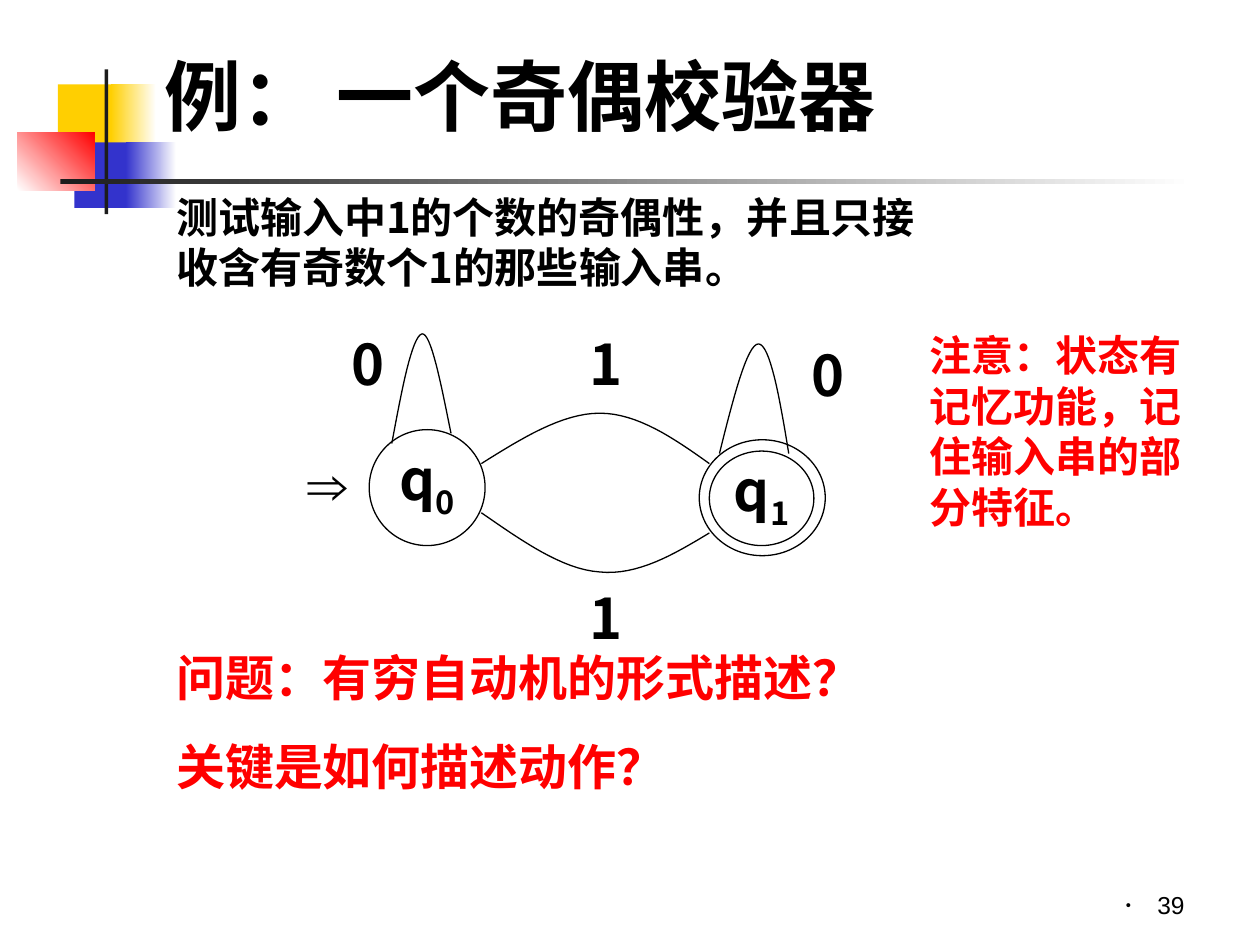
from dataclasses import dataclass
from lxml import etree
from pptx import Presentation
from pptx.dml.color import RGBColor
from pptx.enum.shapes import MSO_SHAPE
from pptx.enum.text import MSO_ANCHOR, PP_ALIGN
from pptx.oxml.ns import qn
from pptx.util import Inches, Pt

RECTANGLE, OVAL = MSO_SHAPE.RECTANGLE, MSO_SHAPE.OVAL
TOP, MIDDLE, BOTTOM = MSO_ANCHOR.TOP, MSO_ANCHOR.MIDDLE, MSO_ANCHOR.BOTTOM
LEFT, CENTER, RIGHT = PP_ALIGN.LEFT, PP_ALIGN.CENTER, PP_ALIGN.RIGHT


@dataclass(frozen=True)
class Style:
    """Type settings of one kind of text."""
    size: float
    font: str
    color: str = "000000"
    bold: bool = True
    east_asian: str = "Noto Sans CJK SC"
    leading: float = 0
    space_before: float = 0


class Theme:
    """Colours and type sizes of the slide."""
    black, white, dark = "000000", "FFFFFF", "1C1C1C"
    yellow, blue, red = "FFCF01", "3333CC", "FF0000"
    outline = 0.75
    title = Style(44, "Times New Roman")
    body = Style(24, "Noto Sans CJK SC", leading=1.2)
    label = Style(32, "Noto Sans CJK SC", leading=1.2)
    arrow = Style(32, "Arial", east_asian="")
    note = Style(24, "Karla", red, leading=1.2)
    question = Style(28, "Karla", red, leading=1.2, space_before=17.5)
    number = Style(14, "Arial", bold=False, east_asian="")


def rgb(color):
    """Turn a hex string into a colour."""
    return RGBColor.from_string(color)


def add_run(paragraph, text, style, baseline=0):
    """Add one styled run, optionally lowered as a subscript."""
    run = paragraph.add_run()
    run.text = text
    font = run.font
    font.size, font.name, font.bold = Pt(style.size), style.font, style.bold
    font.color.rgb = rgb(style.color)
    properties = run._r.get_or_add_rPr()
    if style.east_asian:
        east_asian = etree.SubElement(properties, qn("a:ea"))
        east_asian.set("typeface", style.east_asian)
    if baseline:
        properties.set("baseline", str(baseline * 1000))


def format_paragraph(paragraph, style, align):
    """Set the alignment and line height of a paragraph."""
    paragraph.alignment = align
    if style.leading:
        paragraph.line_spacing = Pt(style.size * style.leading)


def add_text(shapes, box, lines, style, align=LEFT, anchor=TOP):
    """Add a wrapping text box with one paragraph per line."""
    shape = shapes.add_textbox(*map(Inches, box))
    frame = shape.text_frame
    frame.word_wrap, frame.vertical_anchor = True, anchor
    for index, line in enumerate(lines):
        paragraph = frame.add_paragraph() if index else frame.paragraphs[0]
        format_paragraph(paragraph, style, align)
        if index:
            paragraph.space_before = Pt(style.space_before)
        add_run(paragraph, line, style)
    return shape


def add_bar(shapes, box, start, end=None, angle=0):
    """Add a plain or gradient rectangle without outline."""
    shape = shapes.add_shape(RECTANGLE, *map(Inches, box))
    shape.shadow.inherit = False
    shape.line.fill.background()
    if end is None:
        shape.fill.solid()
        shape.fill.fore_color.rgb = rgb(start)
        return
    shape.fill.gradient()
    shape.fill.gradient_angle = angle
    for stop, color in zip(shape.fill.gradient_stops, (start, end)):
        stop.color.rgb = rgb(color)


def add_outline(shape):
    """Give a shape the thin black line of the diagram."""
    shape.shadow.inherit = False
    shape.line.color.rgb = rgb(Theme.black)
    shape.line.width = Pt(Theme.outline)


def add_circle(shapes, box, subscript=None):
    """Add a state circle, named q with a subscript if one is given."""
    shape = shapes.add_shape(OVAL, *map(Inches, box))
    add_outline(shape)
    shape.fill.solid()
    shape.fill.fore_color.rgb = rgb(Theme.white)
    if subscript:
        frame = shape.text_frame
        frame.word_wrap, frame.vertical_anchor = False, MIDDLE
        paragraph = frame.paragraphs[0]
        format_paragraph(paragraph, Theme.label, CENTER)
        add_run(paragraph, "q", Theme.label)
        add_run(paragraph, subscript, Theme.label, -25)


def curve_points(points, steps=16):
    """Sample a chain of cubic curves that share their end points."""
    for first in range(0, len(points) - 1, 3):
        corners = points[first:first + 4]
        for step in range(1, steps + 1):
            t = step / steps
            weights = ((1 - t) ** 3, 3 * t * (1 - t) ** 2, 3 * t * t * (1 - t), t ** 3)
            yield tuple(Inches(sum(w * corner[axis] for w, corner in zip(weights, corners)))
                        for axis in (0, 1))


def add_curve(shapes, points):
    """Add an open transition curve."""
    builder = shapes.build_freeform(*map(Inches, points[0]))
    builder.add_line_segments(list(curve_points(points)), close=False)
    shape = builder.convert_to_shape()
    shape.fill.background()
    add_outline(shape)


def add_decoration(shapes):
    """Add the coloured blocks and rules beside the title."""
    add_bar(shapes, (0.46, 0.67, 0.48, 0.52), Theme.yellow)
    add_bar(shapes, (0.88, 0.67, 0.36, 0.52), Theme.yellow, Theme.white)
    add_bar(shapes, (0.59, 1.13, 0.46, 0.52), Theme.blue)
    add_bar(shapes, (1, 1.13, 0.4, 0.52), Theme.blue, Theme.white)
    add_bar(shapes, (0.14, 1.05, 0.61, 0.46), Theme.white, Theme.red, 45)
    add_bar(shapes, (0.83, 0.55, 0.03, 1.15), Theme.dark)
    add_bar(shapes, (0.48, 1.42, 9, 0.04), Theme.dark, Theme.white)


def add_automaton(shapes):
    """Add the two-state diagram as a group."""
    group = shapes.add_group_shape().shapes
    add_circle(group, (2.93, 3.41, 0.92, 0.92), "0")
    add_circle(group, (5.55, 3.49, 1, 0.92))
    add_circle(group, (5.63, 3.58, 0.83, 0.75), "1")
    for text, left, top in (("0", 2.69, 2.57), ("0", 6.34, 2.65),
                            ("1", 4.58, 2.57), ("1", 4.58, 4.58)):
        add_text(group, (left, top, 0.42, 0.64), [text], Theme.label)
    add_text(group, (1.77, 3.52, 1.67, 0.64), ["⇒"], Theme.arrow, CENTER)
    for points in (
        ((3.11, 3.52), (3.19, 3.09), (3.27, 2.67), (3.35, 2.65),
         (3.42, 2.64), (3.5, 3.04), (3.58, 3.44)),
        ((5.71, 3.6), (5.82, 3.16), (5.93, 2.73), (6.02, 2.73),
         (6.11, 2.73), (6.19, 3.16), (6.26, 3.6)),
        ((3.82, 3.68), (4.14, 3.48), (4.46, 3.28), (4.76, 3.28),
         (5.06, 3.28), (5.35, 3.48), (5.63, 3.68)),
        ((5.63, 4.23), (5.35, 4.4), (5.06, 4.57), (4.76, 4.54),
         (4.46, 4.52), (4.14, 4.29), (3.82, 4.07)),
    ):
        add_curve(group, points)


def add_page_number(shapes):
    """Add the bulleted page number."""
    shape = add_text(shapes, (7.17, 6.83, 2.33, 0.52), ["39"], Theme.number, RIGHT, BOTTOM)
    properties = shape.text_frame.paragraphs[0]._p.get_or_add_pPr()
    properties.set("marL", str(Inches(0.25)))
    properties.set("indent", str(-Inches(0.25)))
    color = etree.SubElement(properties, qn("a:buClr"))
    etree.SubElement(color, qn("a:srgbClr")).set("val", Theme.black)
    for tag, name, value in (("a:buSzPct", "val", "60000"),
                             ("a:buFont", "typeface", "Arial"),
                             ("a:buChar", "char", "•")):
        etree.SubElement(properties, qn(tag)).set(name, value)


def main():
    """Build and save the slide."""
    presentation = Presentation()
    presentation.slide_width, presentation.slide_height = Inches(10), Inches(7.5)
    slide = presentation.slides.add_slide(presentation.slide_layouts[6])
    shapes = slide.shapes
    add_decoration(shapes)
    add_page_number(shapes)
    add_text(shapes, (1.21, 0.28, 6.23, 0.95), ["例： 一个奇偶校验器"], Theme.title, anchor=MIDDLE)
    add_automaton(shapes)
    add_text(shapes, (1.3, 1.47, 6.22, 0.9),
             ["测试输入中1的个数的奇偶性，并且只接收含有奇数个1的那些输入串。"], Theme.body)
    add_text(shapes, (1.3, 5.09, 5.98, 1.28),
             ["问题：有穷自动机的形式描述？", "关键是如何描述动作？"], Theme.question)
    add_text(shapes, (7.28, 2.57, 2.44, 1.7),
             ["注意：状态有记忆功能，记住输入串的部分特征。"], Theme.note)
    presentation.save("out.pptx")


if __name__ == "__main__":
    main()
